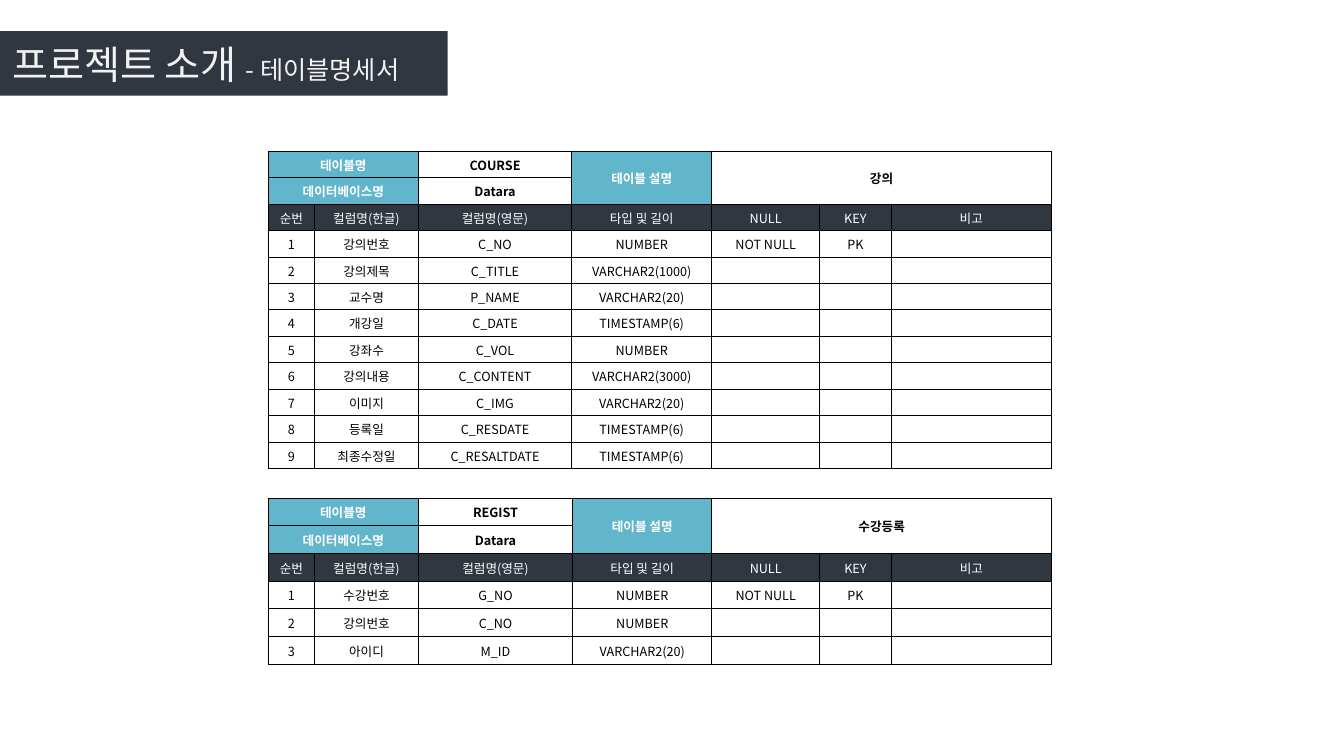
import pptx
import pptx.util
import pptx.dml.color
import pptx.enum.text
import pptx.oxml
import pptx.oxml.ns
from lxml import etree

Inches, Pt = pptx.util.Inches, pptx.util.Pt
RGBColor = pptx.dml.color.RGBColor
PP_ALIGN, MSO_ANCHOR = pptx.enum.text.PP_ALIGN, pptx.enum.text.MSO_ANCHOR
qn = pptx.oxml.ns.qn

NAVY = RGBColor(0x30, 0x37, 0x40)
TEAL = RGBColor(0x62, 0xB6, 0xCB)
WHITE = RGBColor(0xFF, 0xFF, 0xFF)
LIGHT = RGBColor(0xF2, 0xF2, 0xF2)
BLACK = RGBColor(0, 0, 0)

DATABASE = "Datara"
HEADINGS = ["순번", "컬럼명(한글)", "컬럼명(영문)", "타입 및 길이", "NULL", "KEY", "비고"]
MERGES = [(0, 0, 0, 1), (1, 0, 1, 1), (0, 3, 1, 3), (0, 4, 1, 6)]

COURSE_COLUMNS = [
    ("강의번호", "C_NO", "NUMBER", "NOT NULL", "PK"),
    ("강의제목", "C_TITLE", "VARCHAR2(1000)"),
    ("교수명", "P_NAME", "VARCHAR2(20)"),
    ("개강일", "C_DATE", "TIMESTAMP(6)"),
    ("강좌수", "C_VOL", "NUMBER"),
    ("강의내용", "C_CONTENT", "VARCHAR2(3000)"),
    ("이미지", "C_IMG", "VARCHAR2(20)"),
    ("등록일", "C_RESDATE", "TIMESTAMP(6)"),
    ("최종수정일", "C_RESALTDATE", "TIMESTAMP(6)"),
]
REGIST_COLUMNS = [
    ("수강번호", "G_NO", "NUMBER", "NOT NULL", "PK"),
    ("강의번호", "C_NO", "NUMBER"),
    ("아이디", "M_ID", "VARCHAR2(20)"),
]


def set_attributes(target, values):
    for name, value in values.items():
        setattr(target, name, value)


class SlideBuilder:
    font = "Noto Sans CJK KR"
    cell_size = 9
    cell_format = {
        "margin_left": Inches(0.01), "margin_right": Inches(0.01),
        "margin_top": Inches(0.01), "margin_bottom": 0,
        "vertical_anchor": MSO_ANCHOR.MIDDLE,
    }
    title_format = {
        "margin_left": Inches(0.12), "margin_right": Inches(0.1),
        "margin_top": Inches(0.05), "margin_bottom": Inches(0.05),
        "vertical_anchor": MSO_ANCHOR.MIDDLE, "word_wrap": True,
        "auto_size": pptx.enum.text.MSO_AUTO_SIZE.NONE,
    }

    def __init__(self, prs):
        self.s = prs.slides.add_slide(prs.slide_layouts[5])

    def run(self, p, text, size, color, bold=False):
        r = p.add_run()
        r.text = text
        set_attributes(r.font, {"name": self.font, "size": Pt(size), "bold": bold})
        r.font.color.rgb = color
        etree.SubElement(r.font._element, qn("a:ea"), typeface=self.font)

    def title(self, box, parts):
        sp = self.s.shapes.title
        sp.left, sp.top, sp.width, sp.height = map(Inches, box)
        sp.fill.solid()
        sp.fill.fore_color.rgb = NAVY
        tf = sp.text_frame
        set_attributes(tf, self.title_format)
        p = tf.paragraphs[0]
        p.alignment = PP_ALIGN.LEFT
        for text, size in parts:
            self.run(p, text, size, LIGHT)

    def borders(self, cell):
        tc_pr = cell._tc.get_or_add_tcPr()
        for side in ("lnL", "lnR", "lnT", "lnB"):
            ln = etree.SubElement(tc_pr, qn(f"a:{side}"), w=str(Pt(0.5)))
            fill = etree.SubElement(ln, qn("a:solidFill"))
            etree.SubElement(fill, qn("a:srgbClr"), val=str(BLACK))

    def cell(self, cell, text, fill, color, bold):
        set_attributes(cell, self.cell_format)
        self.borders(cell)
        cell.fill.solid()
        cell.fill.fore_color.rgb = fill
        p = cell.text_frame.paragraphs[0]
        p.alignment = PP_ALIGN.CENTER
        if text:
            self.run(p, text, self.cell_size, color, bold)
        else:
            # An empty cell needs a small size too, or its row grows.
            etree.SubElement(p._p, qn("a:endParaRPr"), sz=str(self.cell_size * 100))

    def specification(self, box, widths, name, description, columns):
        """Add a specification table: two summary rows, headings, numbered columns."""
        rows = [
            ["테이블명", "", name, "테이블 설명", description],
            ["데이터베이스명", "", DATABASE],
            HEADINGS,
            *([str(n), *column] for n, column in enumerate(columns, 1)),
        ]
        shape = self.s.shapes.add_table(len(rows), len(widths), *map(Inches, box))
        table = shape.table
        for column, width in zip(table.columns, widths):
            column.width = Inches(width)
        for i, texts in enumerate(rows):
            table.rows[i].height = Inches(box[3] / len(rows))
            for j in range(len(widths)):
                if i == 2:
                    fill, color = NAVY, WHITE
                elif i < 2 and j in (0, 1, 3):
                    fill, color = TEAL, WHITE
                else:
                    fill, color = WHITE, BLACK
                text = texts[j] if j < len(texts) else ""
                self.cell(table.cell(i, j), text, fill, color, bold=i < 2)
        for top, left, bottom, right in MERGES:
            table.cell(top, left).merge(table.cell(bottom, right))


def main():
    prs = pptx.Presentation()
    prs.slide_width, prs.slide_height = Inches(13.33), Inches(7.5)
    slide = SlideBuilder(prs)
    slide.title((0, 0.31, 4.44, 0.64), [("프로젝트 소개 ", 28), ("- 테이블명세서", 18)])
    slide.specification((2.66, 1.5, 7.77, 3.15), [0.46, 1.03, 1.52, 1.39, 1.07, 0.71, 1.59],
                        "COURSE", "강의", COURSE_COLUMNS)
    slide.specification((2.66, 4.94, 7.77, 1.65), [0.46, 1.03, 1.53, 1.38, 1.07, 0.71, 1.59],
                        "REGIST", "수강등록", REGIST_COLUMNS)
    prs.save("out.pptx")


if __name__ == "__main__":
    main()
